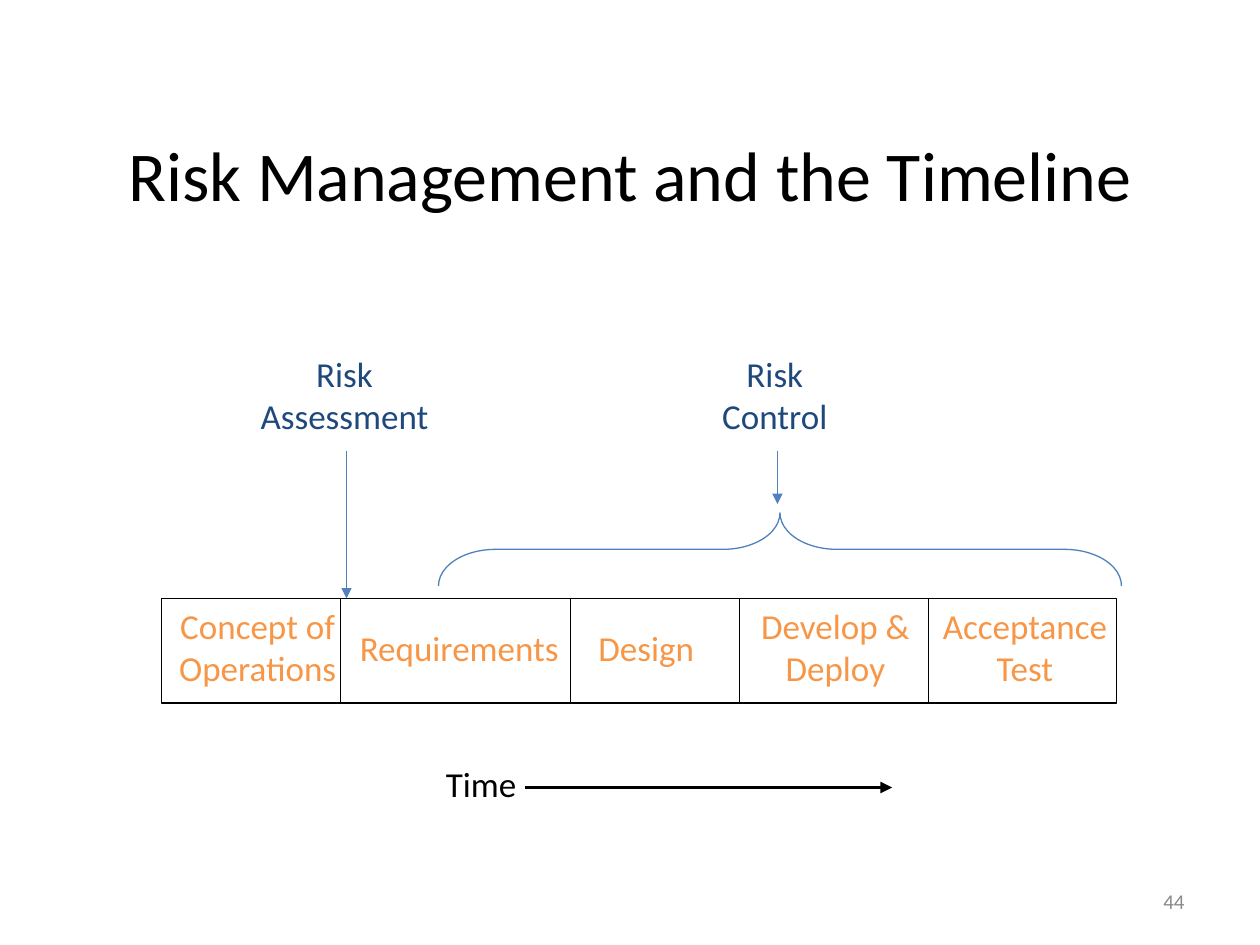
from lxml import etree
from pptx import Presentation
from pptx.dml.color import RGBColor
from pptx.enum import shapes, text
from pptx.oxml import ns
from pptx.util import Inches, Pt

BLACK = RGBColor(0x00, 0x00, 0x00)
ORANGE = RGBColor(0xF7, 0x96, 0x46)
NAVY = RGBColor(0x1F, 0x49, 0x7D)
BLUE = RGBColor(0x4F, 0x81, 0xBD)
GREY = RGBColor(0x89, 0x89, 0x89)
FONT = "Calibri"
CENTER = text.PP_ALIGN.CENTER

# Stage name, then its label's left edge and width, measured from the bar
STAGES = [
    ("Concept of\nOperations", 0.04, 1.45),
    ("Requirements", 1.47, 1.79),
    ("Design", 3.37, 0.96),
    ("Develop &\nDeploy", 4.66, 1.38),
    ("Acceptance\nTest", 6.1, 1.51),
]
DIVIDERS = [1.42, 3.25, 4.59, 6.09]


def format_text(frame, size, color, align):
    for para in frame.paragraphs:
        para.alignment = align
        for span in para.runs:
            span.font.name = FONT
            span.font.size = Pt(size)
            span.font.color.rgb = color


def add_label(page, words, left, top, width, height, color, size=20,
              align=CENTER, anchor=text.MSO_ANCHOR.TOP):
    box = page.shapes.add_textbox(Inches(left), Inches(top), Inches(width), Inches(height))
    frame = box.text_frame
    frame.text = words
    frame.word_wrap = False
    frame.vertical_anchor = anchor
    format_text(frame, size, color, align)


def add_line(page, x1, y1, x2, y2, color, weight=0.75, arrow=False):
    line = page.shapes.add_connector(
        shapes.MSO_CONNECTOR.STRAIGHT, Inches(x1), Inches(y1), Inches(x2), Inches(y2))
    line.line.color.rgb = color
    line.line.width = Pt(weight)
    if arrow:
        outline = line.line._get_or_add_ln()
        etree.SubElement(outline, ns.qn("a:tailEnd"), type="triangle")
    etree.SubElement(line._element.spPr, ns.qn("a:effectLst"))


def add_outline(page, kind, left, top, width, height, color):
    """Add an unfilled preset shape with a thin line."""
    shape = page.shapes.add_shape(
        kind, Inches(left), Inches(top), Inches(width), Inches(height))
    shape.shadow.inherit = False
    shape.fill.background()
    shape.line.color.rgb = color
    shape.line.width = Pt(0.75)
    return shape


def place_title(page, left, top, width, height):
    title = page.shapes.title
    title.left, title.top = Inches(left), Inches(top)
    title.width, title.height = Inches(width), Inches(height)
    title.text_frame.text = "Risk Management and the Timeline"
    title.text_frame.vertical_anchor = text.MSO_ANCHOR.MIDDLE
    format_text(title.text_frame, 40, BLACK, CENTER)


def place_stage_bar(page, left, top, width, height):
    add_outline(page, shapes.MSO_SHAPE.RECTANGLE, left, top, width, height, BLACK)
    for offset in DIVIDERS:
        add_line(page, left + offset, top, left + offset, top + height, BLACK)
    for name, offset, label_width in STAGES:
        two_lines = "\n" in name
        add_label(page, name, left + offset, top if two_lines else top + 0.17,
                  label_width, 0.77 if two_lines else 0.44, ORANGE)


def place_activity(page, name, left, top, width, arrow_x, arrow_end):
    """Add a risk activity's label and the arrow pointing down from it."""
    add_label(page, name, left, top, width, 0.77, NAVY)
    add_line(page, arrow_x, top + 0.83, arrow_x, arrow_end, BLUE, arrow=True)


def place_brace(page, left, top, width, height):
    """Turn a left brace on its side so that it fills the given box."""
    brace = add_outline(
        page, shapes.MSO_SHAPE.LEFT_BRACE, left + (width - height) / 2,
        top + (height - width) / 2, height, width, BLUE)
    brace.rotation = 90
    brace.adjustments[0] = 0.78
    brace.adjustments[1] = 0.5


def place_time_axis(page, left, top, width):
    add_label(page, "Time", left, top, 0.76, 0.44, BLACK, align=text.PP_ALIGN.LEFT)
    add_line(page, left + 0.73, top + 0.25, left + width, top + 0.25,
             BLACK, weight=2.25, arrow=True)


def main():
    deck = Presentation()
    deck.slide_width, deck.slide_height = Inches(10), Inches(7.5)
    page = deck.slides.add_slide(deck.slide_layouts.get_by_name("Title Only"))
    place_title(page, 0.75, 0.75, 8.5, 1.25)
    place_stage_bar(page, 1.28, 4.75, 7.58, 0.83)
    place_activity(page, "Risk\nAssessment", 1.97, 2.75, 1.53, 2.75, 4.75)
    place_activity(page, "Risk\nControl", 5.63, 2.75, 1.04, 6.17, 4)
    place_time_axis(page, 3.44, 6, 3.64)
    place_brace(page, 3.48, 4.07, 5.42, 0.58)
    add_label(page, "44", 7.17, 6.95, 2.33, 0.4, GREY, size=12,
              align=text.PP_ALIGN.RIGHT, anchor=text.MSO_ANCHOR.MIDDLE)
    deck.save("out.pptx")


if __name__ == "__main__":
    main()
